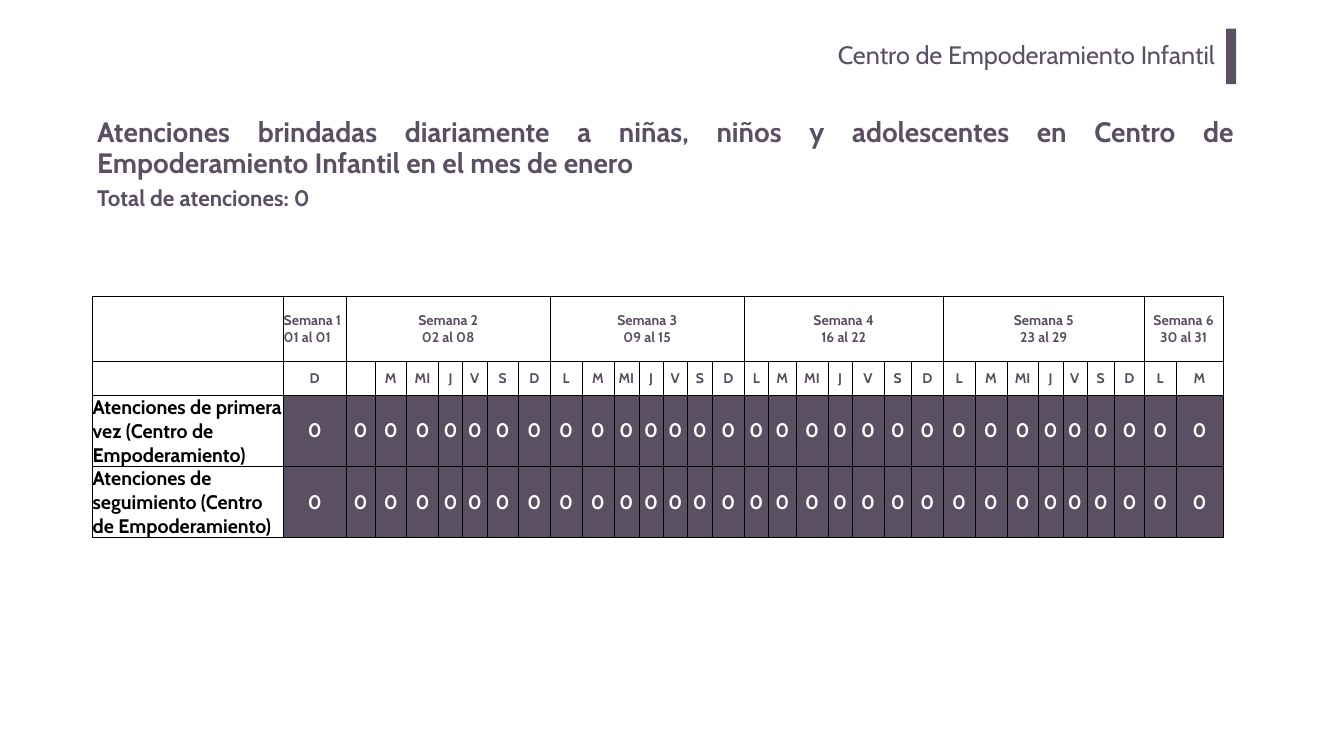
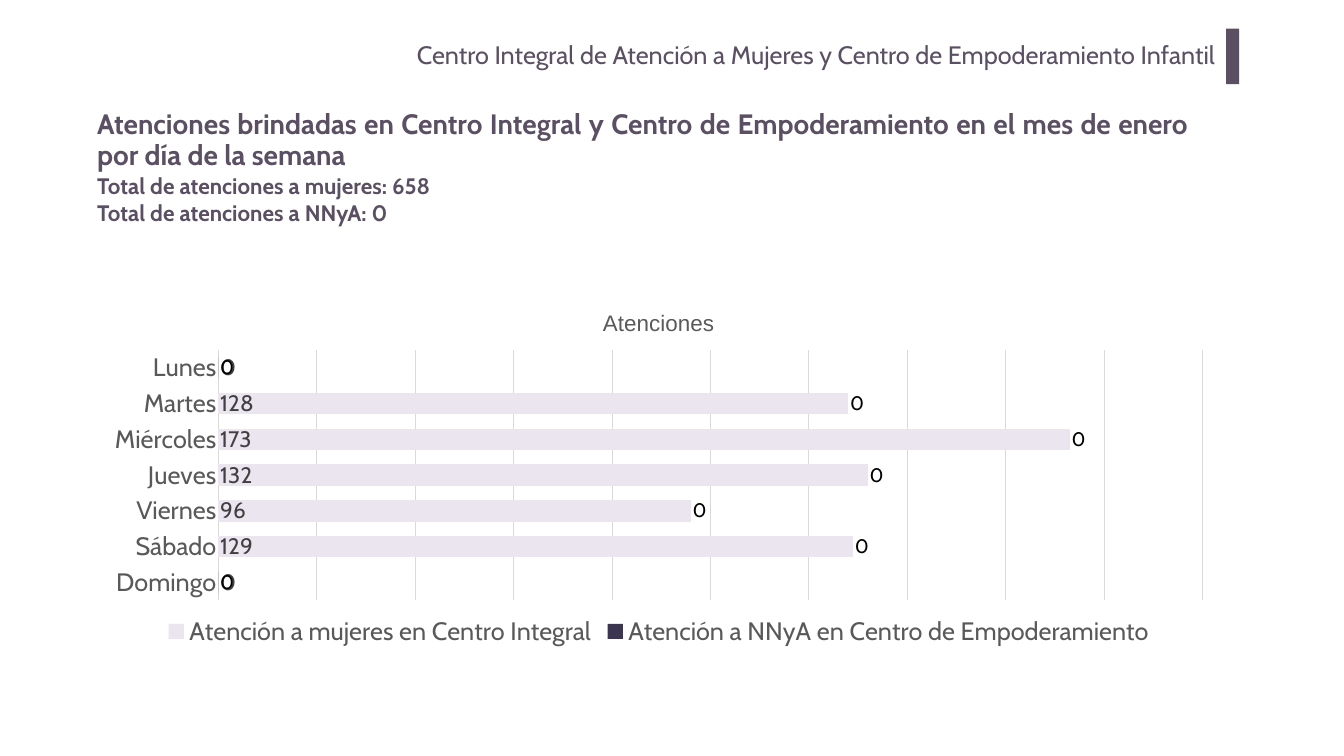
from lxml.etree import SubElement
from pptx import Presentation
from pptx.chart.data import CategoryChartData
from pptx.dml.color import RGBColor
from pptx.enum.chart import XL_CHART_TYPE, XL_LABEL_POSITION, XL_LEGEND_POSITION, XL_TICK_MARK
from pptx.enum.shapes import MSO_SHAPE
from pptx.enum.text import MSO_ANCHOR, MSO_AUTO_SIZE, PP_ALIGN
from pptx.oxml.ns import qn
from pptx.util import Emu, Pt

HUES = {
    "plum": "5B4F63", "head": "5C4D62", "white": "FFFFFF", "black": "000000",
    "grid": "D9D9D9", "gray": "595959", "dark": "404040",
    "women": "EBE5EF", "kids": "3C3551",
}
FACE = "Cabin"
LEFT = 183
WIDE = 2248
DAYS = ["L", "M", "MI", "J", "V", "S", "D"]
WEEKS = [
    ("Semana 1", "01 al 01", 1), ("Semana 2", "02 al 08", 7),
    ("Semana 3", "09 al 15", 7), ("Semana 4", "16 al 22", 7),
    ("Semana 5", "23 al 29", 7), ("Semana 6", "30 al 31", 2),
]
COLS = [
    379, 125,
    57, 63, 63, 48, 48, 63, 63,
    63, 63, 50, 48, 48, 50, 63,
    48, 55, 63, 48, 63, 55, 63,
    63, 63, 63, 48, 48, 55, 59,
    63, 93,
]
ROWS = [130, 67, 126, 126]


def px(size):
    return Emu(size * 9144)


def hue(name):
    return RGBColor.from_string(HUES[name])


def style(font, size, color, bold=False, face=FACE):
    font.name = face
    font.size = Pt(size)
    font.bold = bold
    font.color.rgb = hue(color)


def inset(item, left, top, right, base):
    item.margin_left, item.margin_top = px(left), px(top)
    item.margin_right, item.margin_bottom = px(right), px(base)


def text(slide, box, lines, size, bold=True, align=PP_ALIGN.LEFT, pad=10):
    frame = slide.shapes.add_textbox(*map(px, box)).text_frame
    frame.word_wrap = True
    inset(frame, pad, pad // 2, pad, pad // 2)
    frame.text = "\n".join(lines)
    for para in frame.paragraphs:
        para.alignment = align
        style(para.font, size, "plum", bold)
    return frame


def header(slide, label, width):
    text(slide, (401, 67, 2030, 102), [label], 36, False, PP_ALIGN.RIGHT, 20)
    bar = slide.shapes.add_shape(
        MSO_SHAPE.RECTANGLE, px(2433), px(57), px(width), px(110))
    bar.shadow.inherit = False
    bar.fill.solid()
    bar.fill.fore_color.rgb = hue("plum")
    bar.line.fill.background()


def title(slide, top, width, label):
    frame = text(slide, (LEFT, top, width, 145), [label], 40, True, PP_ALIGN.JUSTIFY)
    frame.vertical_anchor = MSO_ANCHOR.MIDDLE
    frame.paragraphs[0].line_spacing = 0.9


def totals(slide, box, lines):
    frame = text(slide, box, lines, 32)
    frame.auto_size = MSO_AUTO_SIZE.SHAPE_TO_FIT_TEXT


def border(cell, top):
    props = cell._tc.get_or_add_tcPr()
    for side in "LRTB":
        width = Pt(1) if top and side != "B" else Pt(0.5)
        line = SubElement(props, qn(f"a:ln{side}"), w=str(width))
        fill = SubElement(line, qn("a:solidFill"))
        SubElement(fill, qn("a:srgbClr"), val=HUES["black"])


def write(cell, label, size, color, align=PP_ALIGN.CENTER):
    cell.text = label
    cell.vertical_anchor = MSO_ANCHOR.MIDDLE
    inset(cell, 1, 1, 1, 0)
    para = cell.text_frame.paragraphs[0]
    para.alignment = align
    style(para.font, size, color, True)


def paint(cell, color):
    if color:
        cell.fill.solid()
        cell.fill.fore_color.rgb = hue(color)
    else:
        cell.fill.background()


def calendar(slide):
    shape = slide.shapes.add_table(
        len(ROWS), len(COLS), px(LEFT), px(587), px(WIDE), px(572))
    table = shape.table
    table.first_row = table.horz_banding = False
    for col, width in zip(table.columns, COLS):
        col.width = px(width)
    for row, tall in zip(table.rows, ROWS):
        row.height = px(tall)
    shape.height = px(572)

    for row in range(len(ROWS)):
        for col in range(len(COLS)):
            cell = table.cell(row, col)
            border(cell, row == 0 and col > 0)
            body = "plum" if row > 1 else None
            paint(cell, body if col else "white")

    col = 1
    for name, dates, span in WEEKS:
        cell = table.cell(0, col)
        if span > 1:
            cell.merge(table.cell(0, col + span - 1))
        align = PP_ALIGN.CENTER if span > 1 else PP_ALIGN.LEFT
        write(cell, f"{name}\v{dates}", 20, "head", align)
        col += span

    for col in range(1, len(COLS)):
        if col != 2:
            write(table.cell(1, col), DAYS[(col - 2) % 7], 20, "head")
        for row in (2, 3):
            write(table.cell(row, col), "0", 28, "white")
    for row, kind in ((2, "primera vez"), (3, "seguimiento")):
        label = f"Atenciones de {kind} (Centro de Empoderamiento)"
        write(table.cell(row, 0), label, 28, "black", PP_ALIGN.LEFT)


def rule(form):
    form.line.color.rgb = hue("grid")
    form.line.width = Pt(0.75)


def bars(slide):
    data = CategoryChartData()
    data.categories = [
        "Domingo", "Sábado", "Viernes", "Jueves", "Miércoles", "Martes", "Lunes"]
    data.add_series("Atención a mujeres en Centro Integral", [0, 129, 96, 132, 173, 128, 0])
    data.add_series("Atención a NNyA en Centro de Empoderamiento", [0] * 7)
    chart = slide.shapes.add_chart(
        XL_CHART_TYPE.BAR_STACKED, px(LEFT), px(584), px(WIDE), px(709), data).chart
    style(chart.font, 10, "black", face="Arial")

    chart.has_title = True
    chart.chart_title.include_in_layout = False
    frame = chart.chart_title.text_frame
    frame.text = "Atenciones"
    style(frame.paragraphs[0].font, 32, "gray", face="Arial")

    chart.has_legend = True
    chart.legend.position = XL_LEGEND_POSITION.BOTTOM
    chart.legend.include_in_layout = False
    style(chart.legend.font, 36, "gray")

    days = chart.category_axis
    days.major_tick_mark = XL_TICK_MARK.NONE
    style(days.tick_labels.font, 36, "gray")
    rule(days.format)
    scale = chart.value_axis
    scale.visible = False
    scale.minimum_scale, scale.maximum_scale, scale.major_unit = 0, 200, 20
    scale.has_major_gridlines = True
    rule(scale.major_gridlines.format)

    plot = chart.plots[0]
    plot.gap_width, plot.overlap = 65, 100
    plot.vary_by_categories = False
    looks = [("women", 32, "dark"), ("kids", 28, "black")]
    for series, (color, size, ink) in zip(plot.series, looks):
        series.format.fill.solid()
        series.format.fill.fore_color.rgb = hue(color)
        series.invert_if_negative = False
        labels = series.data_labels
        labels.show_value = True
        labels.position = XL_LABEL_POSITION.INSIDE_BASE
        style(labels.font, size, ink)


def daily(slide):
    header(slide, "Centro de Empoderamiento Infantil", 20)
    title(slide, 223, 2276,
          "Atenciones brindadas diariamente a niñas, niños y adolescentes en "
          "Centro de Empoderamiento Infantil en el mes de enero")
    totals(slide, (LEFT, 361, 564, 64), ["Total de atenciones: 0"])
    calendar(slide)


def weekly(slide):
    header(slide, "Centro Integral de Atención a Mujeres y Centro de Empoderamiento Infantil", 26)
    title(slide, 207, 2185,
          "Atenciones brindadas en Centro Integral y Centro de Empoderamiento "
          "en el mes de enero por día de la semana")
    totals(slide, (LEFT, 336, 812, 118),
           ["Total de atenciones a mujeres: 658", "Total de atenciones a NNyA: 0"])
    bars(slide)


def main():
    deck = Presentation()
    deck.slide_width, deck.slide_height = px(2667), px(1500)
    for build in (daily, weekly):
        build(deck.slides.add_slide(deck.slide_layouts[6]))
    deck.save("out.pptx")


if __name__ == "__main__":
    main()
